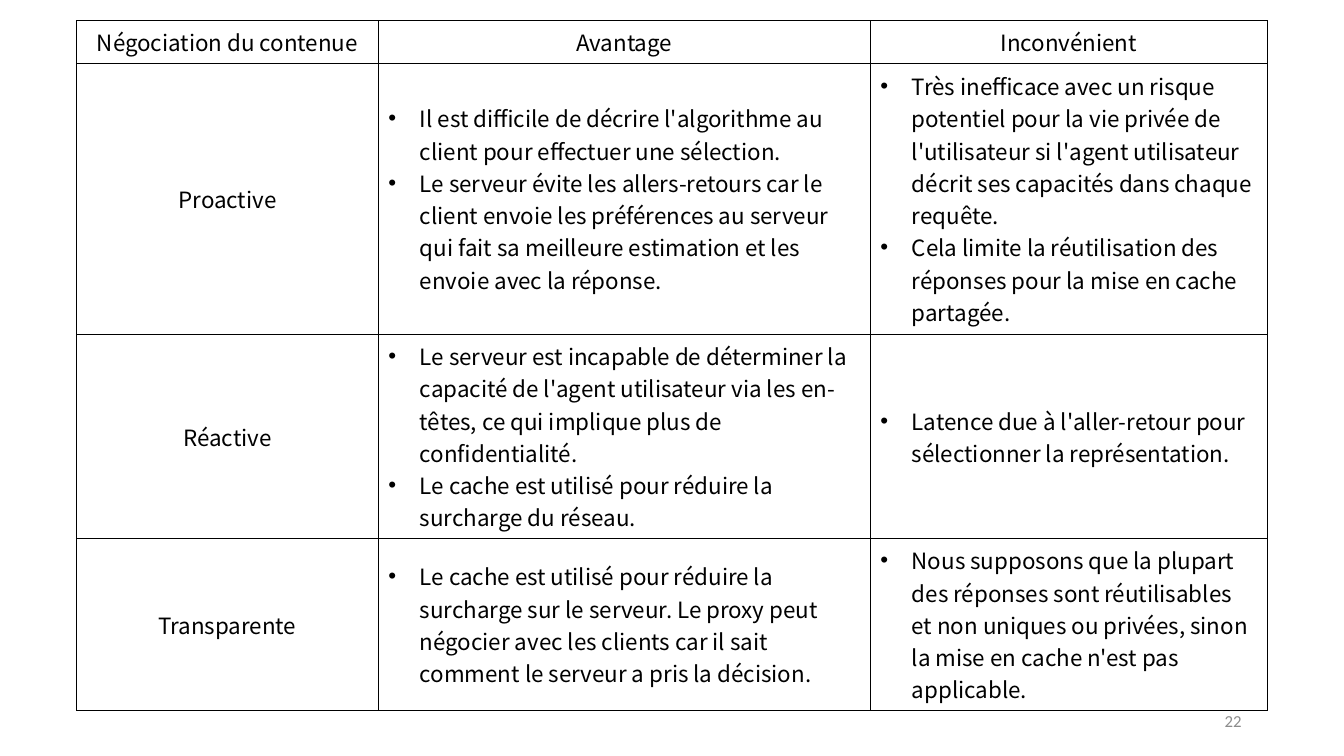
from dataclasses import dataclass

from lxml.etree import SubElement as Sub
from pptx import Presentation as Deck
from pptx.dml.color import RGBColor as Color
from pptx.enum.text import MSO_ANCHOR as Anchor, PP_ALIGN as Align
from pptx.oxml.ns import qn
from pptx.util import Pt


@dataclass(frozen=True)
class Theme:
    """Colours, fonts and type sizes of the slide."""
    ink: str = "000000"
    grey: str = "8C8C8C"
    font: str = "Noto Sans CJK JP"
    num_font: str = "Calibri"
    size: int = 16
    num_size: int = 12
    rule: int = 1
    indent: float = 22.5


THEME = Theme()
COLS = (215.5, 351.4, 283.7)
ROWS = (30.4, 193.6, 146.2, 122.4)
HEADS = ("Négociation du contenue", "Avantage", "Inconvénient")
KINDS = (
    ("Proactive",
     ["Il est difficile de décrire l'algorithme au client pour effectuer une sélection.",
      "Le serveur évite les allers-retours car le client envoie les préférences au "
      "serveur qui fait sa meilleure estimation et les envoie avec la réponse."],
     ["Très inefficace avec un risque potentiel pour la vie privée de l'utilisateur "
      "si l'agent utilisateur décrit ses capacités dans chaque requête.",
      "Cela limite la réutilisation des réponses pour la mise en cache partagée."]),
    ("Réactive",
     ["Le serveur est incapable de déterminer la capacité de l'agent utilisateur via "
      "les en-têtes, ce qui implique plus de confidentialité.",
      "Le cache est utilisé pour réduire la surcharge du réseau."],
     ["Latence due à l'aller-retour pour sélectionner la représentation."]),
    ("Transparente",
     ["Le cache est utilisé pour réduire la surcharge sur le serveur. Le proxy peut "
      "négocier avec les clients car il sait comment le serveur a pris la décision."],
     ["Nous supposons que la plupart des réponses sont réutilisables et non uniques "
      "ou privées, sinon la mise en cache n'est pas applicable."]),
)


def add_run(para, text, font, size, color):
    """Add one styled run to a paragraph."""
    run = para.add_run()
    run.text = text
    run.font.name = font
    run.font.size = Pt(size)
    run.font.bold = False
    run.font.color.rgb = Color.from_string(color)
    Sub(run.font._element, qn("a:ea"), typeface=font)


def add_bullet(para):
    """Give a paragraph a hanging bullet."""
    props = para._p.get_or_add_pPr()
    step = Pt(THEME.indent)
    props.set("marL", str(step))
    props.set("indent", str(-step))
    Sub(props, qn("a:buFont"), typeface="Arial")
    Sub(props, qn("a:buChar"), char="•")


def add_rules(cell):
    """Draw a thin line on all four sides of a cell."""
    props = cell._tc.get_or_add_tcPr()
    for side in ("lnL", "lnR", "lnT", "lnB"):
        line = Sub(props, qn(f"a:{side}"), w=str(Pt(THEME.rule)))
        fill = Sub(line, qn("a:solidFill"))
        Sub(fill, qn("a:srgbClr"), val=THEME.ink)


def fill_cell(cell, text):
    """Write a centred label, or a list of bullets, in a ruled cell."""
    add_rules(cell)
    cell.fill.background()
    cell.vertical_anchor = Anchor.MIDDLE
    is_list = isinstance(text, list)
    frame = cell.text_frame
    for i, item in enumerate(text if is_list else [text]):
        para = frame.add_paragraph() if i else frame.paragraphs[0]
        if is_list:
            add_bullet(para)
        else:
            para.alignment = Align.CENTER
        add_run(para, item, THEME.font, THEME.size, THEME.ink)


def add_grid(slide, left, top):
    """Add the table that compares the kinds of negotiation."""
    grid = slide.shapes.add_table(len(ROWS), len(COLS), Pt(left), Pt(top),
                                  Pt(sum(COLS)), Pt(sum(ROWS))).table
    for col, width in zip(grid.columns, COLS):
        col.width = Pt(width)
    for row, height, texts in zip(grid.rows, ROWS, (HEADS, *KINDS)):
        row.height = Pt(height)
        for cell, text in zip(row.cells, texts):
            fill_cell(cell, text)


def add_number(slide, text):
    """Add the page number at the lower right."""
    box = slide.shapes.add_textbox(Pt(678), Pt(500.5), Pt(216), Pt(28.75))
    frame = box.text_frame
    frame.word_wrap = True
    frame.vertical_anchor = Anchor.MIDDLE
    para = frame.paragraphs[0]
    para.alignment = Align.RIGHT
    add_run(para, text, THEME.num_font, THEME.num_size, THEME.grey)


def main():
    """Build and save the slide."""
    deck = Deck()
    deck.slide_width, deck.slide_height = Pt(960), Pt(540)
    slide = deck.slides.add_slide(deck.slide_layouts[6])
    add_number(slide, "22")
    add_grid(slide, 54.75, 14.75)
    deck.save("out.pptx")


main()
